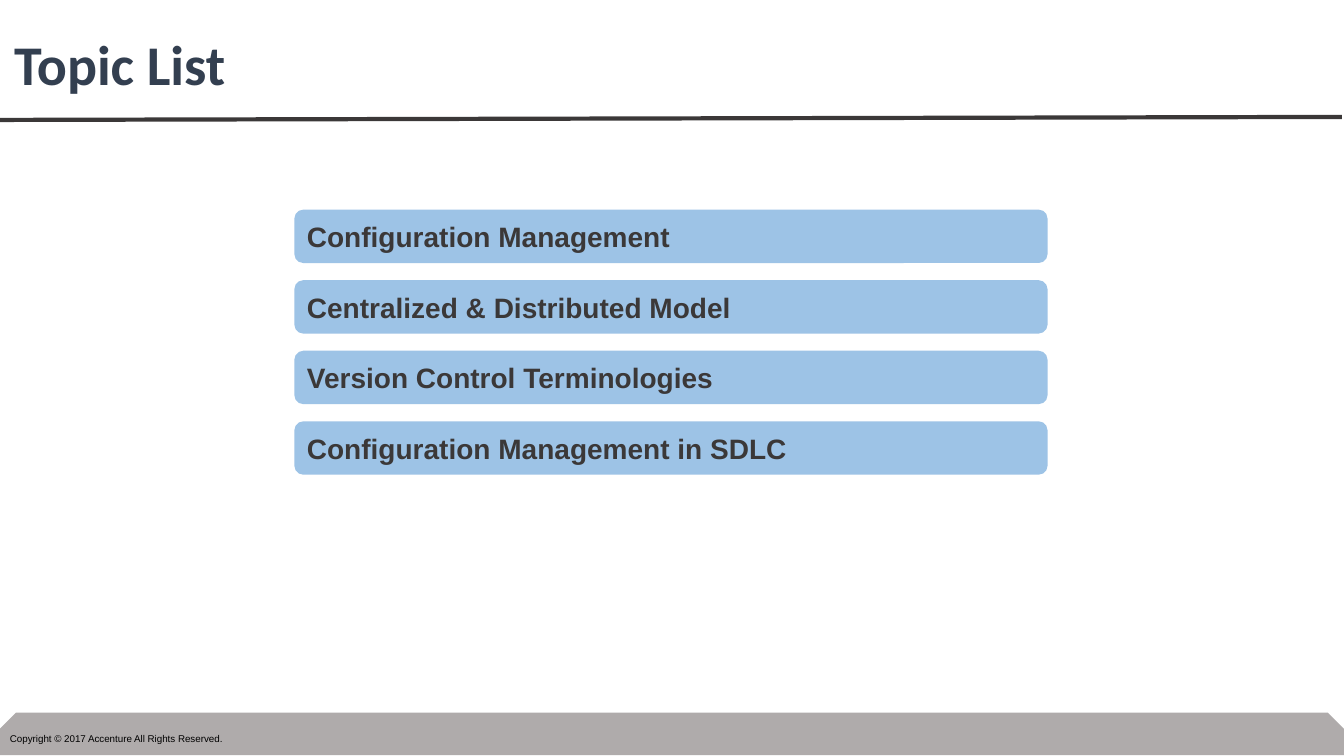
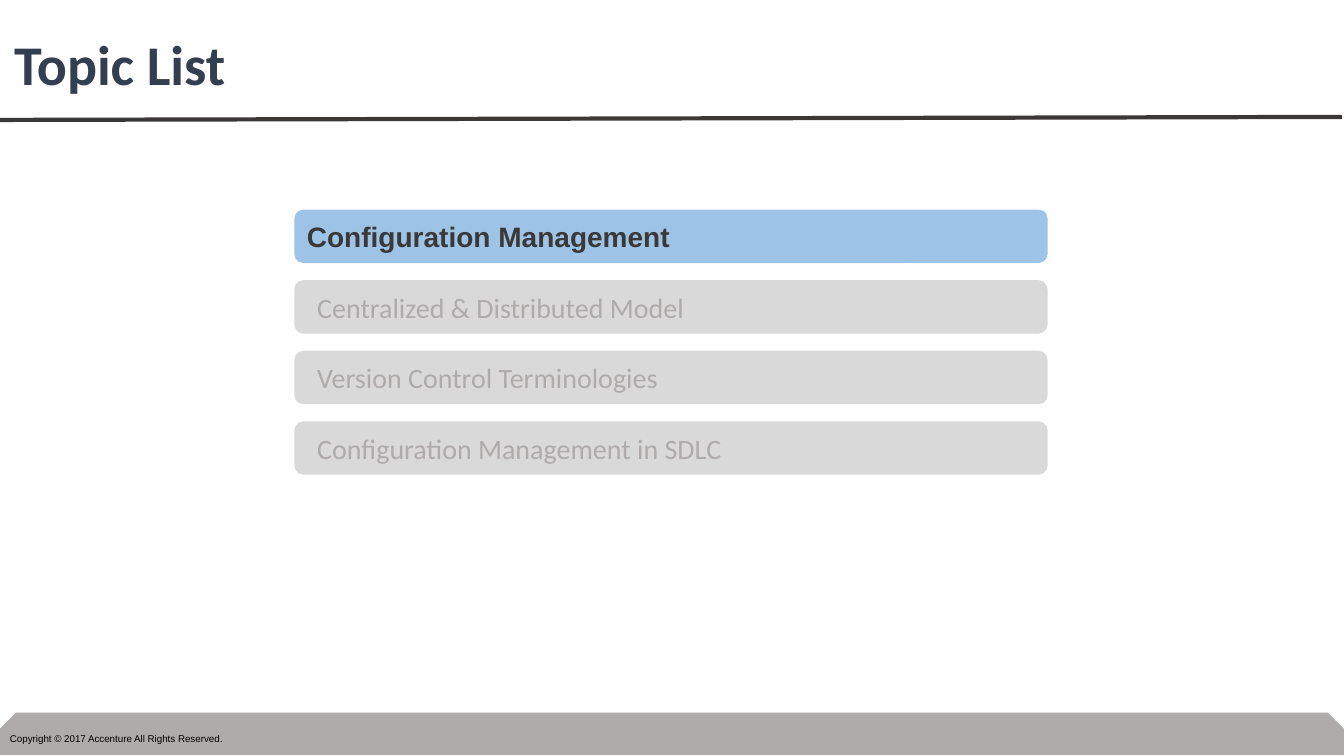
from pptx import Presentation
from pptx.util import Inches, Pt
from pptx.dml.color import RGBColor
from pptx.enum.shapes import MSO_SHAPE as SHAPE, MSO_CONNECTOR as LINE
from pptx.enum.text import PP_ALIGN as ALIGN, MSO_ANCHOR as ANCHOR, MSO_AUTO_SIZE as FIT
from lxml.etree import SubElement
from pptx.oxml.ns import qn

# Shared colours and text formats
BLUE, PALE, GRAY, DARK, NAVY = "9DC3E6", "D9D9D9", "AFABAB", "3B3838", "333F50"
HEAD = {"name": "Calibri", "size": Pt(40), "bold": True, "color": NAVY}
LIVE = {"name": "Arial", "size": Pt(20), "bold": True, "color": DARK}
DIM = {"name": "Calibri", "size": Pt(20), "bold": False, "color": GRAY}
FINE = {"name": "Arial", "size": Pt(7), "bold": False, "color": "000000"}

TOPICS = ["Configuration Management", "Centralized & Distributed Model",
          "Version Control Terminologies", "Configuration Management in SDLC"]


def paint(target, color):
    if hasattr(target, "solid"):
        target.solid()
        target = target.fore_color
    target.rgb = RGBColor.from_string(color)


def write(shape, text, style):
    frame = shape.text_frame
    frame.text = text
    frame.vertical_anchor = ANCHOR.MIDDLE
    para = frame.paragraphs[0]
    para.alignment = ALIGN.LEFT
    font = para.runs[0].font
    for key, value in style.items():
        if key == "color":
            paint(font.color, value)
        else:
            setattr(font, key, value)
    return frame


deck = Presentation()
deck.slide_width, deck.slide_height = Inches(13.33), Inches(7.5)
layout = deck.slide_layouts[5]

# Title place on the layout
title = layout.placeholders[0]
title.left, title.top = Inches(0.04), Inches(0.36)
title.width, title.height = Inches(13.33), Inches(0.62)

slides = [deck.slides.add_slide(layout) for _ in range(2)]
shapes = slides[0].shapes

# Footer band
band = shapes.add_shape(SHAPE.SNIP_2_SAME_RECTANGLE, Inches(0), Inches(7.07),
                        Inches(13.33), Inches(0.42))
band.adjustments[0], band.adjustments[1] = 0.38, 0
band.shadow.inherit = False
paint(band.fill, GRAY)
band.line.fill.background()

# Rule under the title
rule = shapes.add_connector(LINE.STRAIGHT, Inches(0), Inches(1.19),
                            Inches(13.31), Inches(1.16))
paint(rule.line.fill, DARK)
rule.line.width = Pt(3)
SubElement(rule.element.spPr, qn("a:effectLst"))

# Copyright line
note = shapes.add_textbox(Inches(0), Inches(7.22), Inches(2.38), Inches(0.22))
frame = write(note, "Copyright © 2017 Accenture All Rights Reserved.", FINE)
frame.word_wrap = False
frame.auto_size = FIT.SHAPE_TO_FIT_TEXT

# Move the shared parts to the layout, with ids of their own
for num, part in enumerate([band, rule, note], 20):
    part.element.xpath(".//p:cNvPr")[0].set("id", str(num))
    layout.shapes.element.append(part.element)

# Topic bars: all are live on the first slide, one on the second
for slide, live in zip(slides, [TOPICS, TOPICS[:1]]):
    frame = write(slide.shapes.title, "Topic List", HEAD)
    frame.auto_size = FIT.NONE
    frame.paragraphs[0].line_spacing = 0.9

    for row, topic in enumerate(TOPICS):
        bar = slide.shapes.add_shape(
            SHAPE.ROUNDED_RECTANGLE, Inches(2.92), Inches(2.08 + 0.7 * row),
            Inches(7.47), Inches(0.53))
        bar.shadow.inherit = False
        bar.line.fill.background()
        on = topic in live
        paint(bar.fill, BLUE if on else PALE)
        frame = write(bar, topic, LIVE if on else DIM)
        frame.margin_left = Inches(0.1 if on else 0.2)

deck.save("out.pptx")
